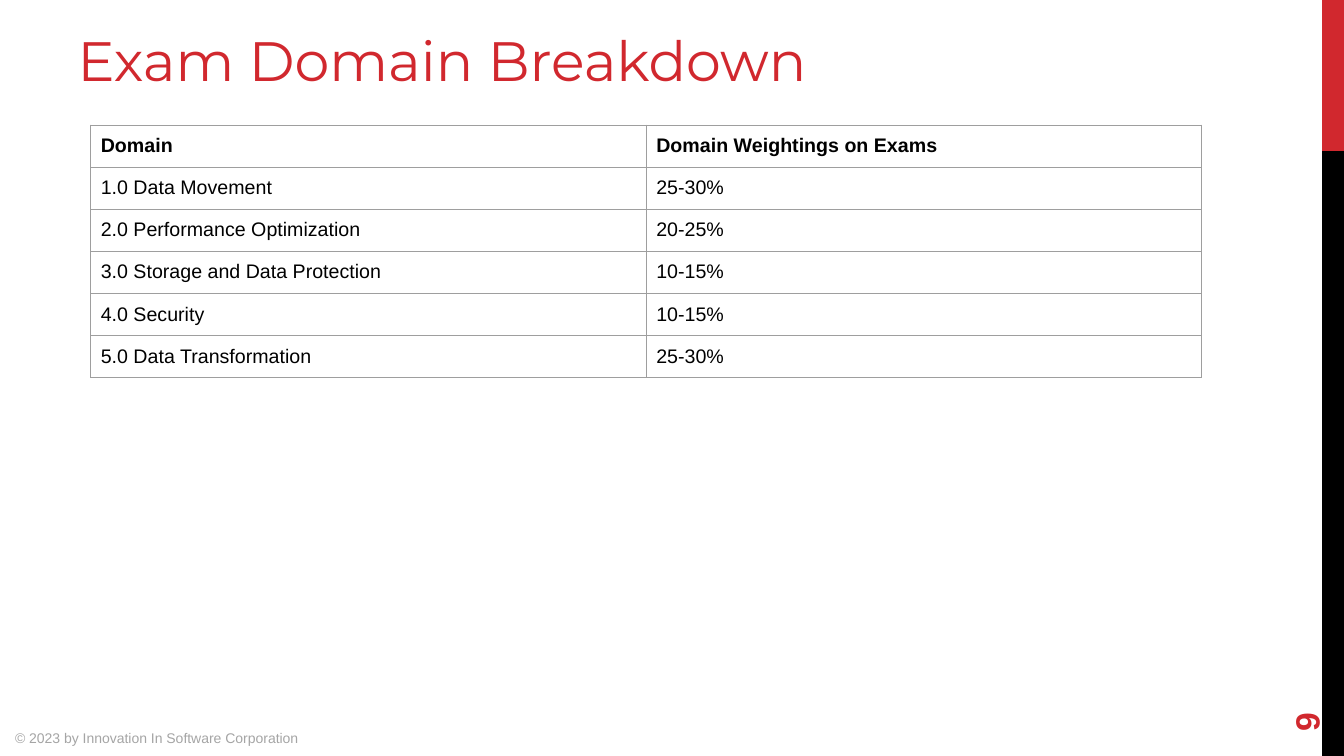
from dataclasses import dataclass

from lxml import etree
from pptx import Presentation
from pptx.dml.color import RGBColor
from pptx.enum.shapes import MSO_SHAPE
from pptx.enum.text import MSO_ANCHOR, MSO_AUTO_SIZE, PP_ALIGN
from pptx.oxml.ns import qn
from pptx.util import Cm, Pt

RECT = MSO_SHAPE.RECTANGLE
TOP, MIDDLE, BOTTOM = MSO_ANCHOR.TOP, MSO_ANCHOR.MIDDLE, MSO_ANCHOR.BOTTOM
NO_AUTOFIT = MSO_AUTO_SIZE.NONE
LEFT = PP_ALIGN.LEFT

RED = RGBColor(0xD1, 0x28, 0x2E)
BLACK = RGBColor(0x00, 0x00, 0x00)
GRAY = RGBColor(0xA5, 0xA5, 0xA5)
BORDER = RGBColor(0x9E, 0x9E, 0x9E)

TITLE_ONLY = 5
COL_WIDTH = Cm(14)
ROW_HEIGHT = Cm(1.06)
CELL_MARGIN = Cm(0.25)


@dataclass
class Bar:
    top: float
    height: float
    color: RGBColor


@dataclass
class Label:
    text: str
    left: float
    top: float
    width: float
    height: float
    size: float
    color: RGBColor
    anchor: MSO_ANCHOR = TOP
    font: str = "Arial"
    bold: bool = False
    rotation: float = 0


BARS = [Bar(0, 3.81, RED), Bar(3.81, 15.24, BLACK)]
TITLE = Label("Exam Domain Breakdown", 1.7, 0.43, 22.25, 2.03, 39.6, RED,
              anchor=BOTTOM, font="Montserrat")
LABELS = [
    Label("9", 31.09, 16.18, 3.66, 1.35, 24, RED, anchor=MIDDLE, bold=True,
          rotation=270),
    Label("© 2023 by Innovation In Software Corporation",
          0.13, 18.26, 12.7, 0.79, 10, GRAY),
]
DOMAINS = [
    ("Domain", "Domain Weightings on Exams"),
    ("1.0 Data Movement", "25-30%"),
    ("2.0 Performance Optimization", "20-25%"),
    ("3.0 Storage and Data Protection", "10-15%"),
    ("4.0 Security", "10-15%"),
    ("5.0 Data Transformation", "25-30%"),
]


def add_bar(s, bar: Bar) -> None:
    sp = s.shapes.add_shape(RECT, Cm(33.32), Cm(bar.top), Cm(0.55), Cm(bar.height))
    sp.shadow.inherit = False
    sp.fill.solid()
    sp.fill.fore_color.rgb = bar.color
    sp.line.fill.background()


def format_text(p, font: str, size: float, color: RGBColor, bold: bool) -> None:
    p.alignment = LEFT
    for r in p.runs:
        r.font.name = font
        r.font.size = Pt(size)
        r.font.color.rgb = color
        r.font.bold = bold


def fill_label(sp, label: Label) -> None:
    sp.left, sp.top = Cm(label.left), Cm(label.top)
    sp.width, sp.height = Cm(label.width), Cm(label.height)
    sp.rotation = label.rotation
    tf = sp.text_frame
    tf.text = label.text
    tf.word_wrap = True
    tf.auto_size = NO_AUTOFIT
    tf.vertical_anchor = label.anchor
    format_text(tf.paragraphs[0], label.font, label.size, label.color, label.bold)


def add_label(s, label: Label) -> None:
    fill_label(s.shapes.add_textbox(0, 0, Cm(1), Cm(1)), label)


def set_borders(cell) -> None:
    tc_pr = cell._tc.get_or_add_tcPr()
    for i, side in enumerate(("a:lnL", "a:lnR", "a:lnT", "a:lnB")):
        ln = etree.Element(qn(side), w=str(Pt(0.75)))
        fill = etree.SubElement(ln, qn("a:solidFill"))
        etree.SubElement(fill, qn("a:srgbClr"), val=str(BORDER))
        tc_pr.insert(i, ln)


def add_domain_table(s, rows: list[tuple[str, str]]) -> None:
    n_cols = len(rows[0])
    table = s.shapes.add_table(len(rows), n_cols, Cm(2.29), Cm(3.15),
                               COL_WIDTH * n_cols, ROW_HEIGHT * len(rows)).table
    table.horz_banding = False
    for col in table.columns:
        col.width = COL_WIDTH
    for i, texts in enumerate(rows):
        table.rows[i].height = ROW_HEIGHT
        for j, text in enumerate(texts):
            cell = table.cell(i, j)
            cell.text = text
            cell.fill.background()
            cell.margin_left = cell.margin_right = CELL_MARGIN
            cell.margin_top = cell.margin_bottom = CELL_MARGIN
            format_text(cell.text_frame.paragraphs[0], "Arial", 14, BLACK, i == 0)
            set_borders(cell)


def main() -> None:
    prs = Presentation()
    prs.slide_width, prs.slide_height = Cm(33.87), Cm(19.05)
    s = prs.slides.add_slide(prs.slide_layouts[TITLE_ONLY])
    for bar in BARS:
        add_bar(s, bar)
    fill_label(s.shapes.title, TITLE)
    for label in LABELS:
        add_label(s, label)
    add_domain_table(s, DOMAINS)
    prs.save("out.pptx")


if __name__ == "__main__":
    main()
